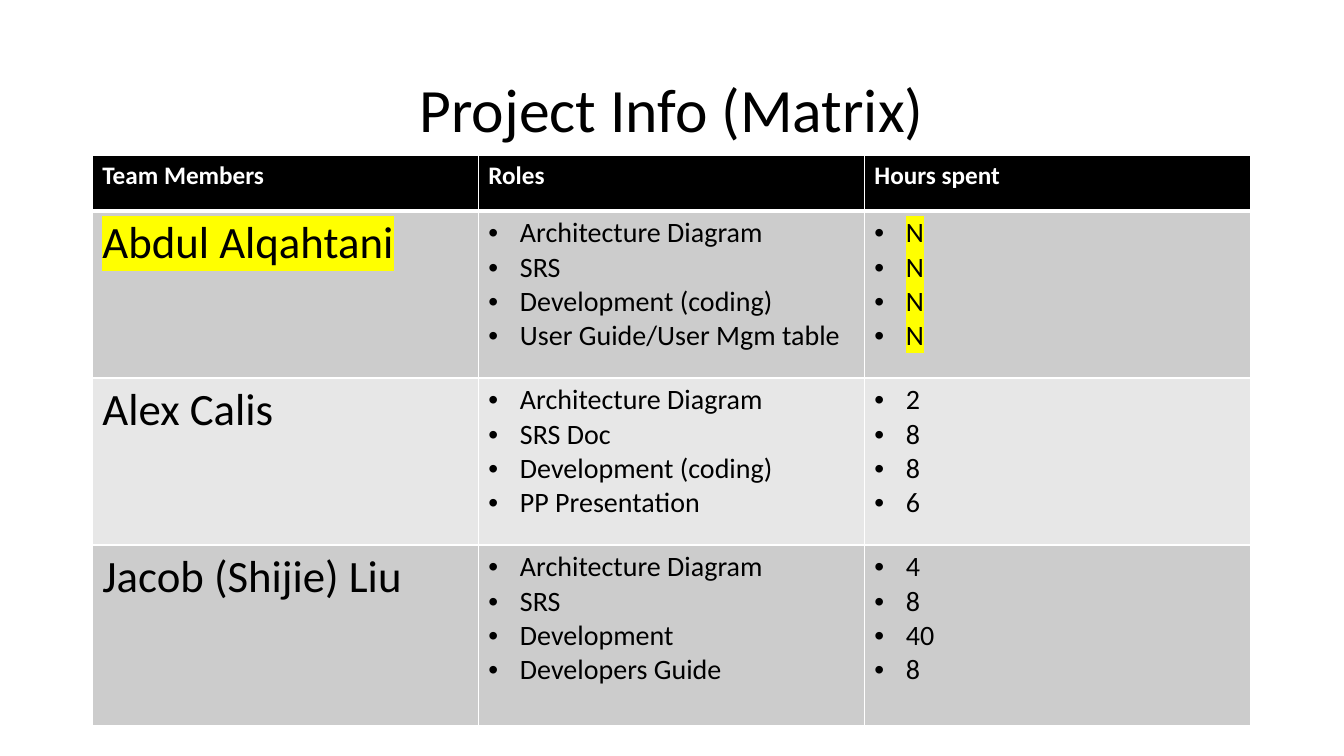
import dataclasses
import typing

import lxml.etree
import pptx
import pptx.dml.color
import pptx.enum.text
import pptx.oxml.ns
import pptx.util

PIXEL = 914400 / 100.8
FONT = "Calibri"
COLOURS = {
    "black": "000000",
    "white": "FFFFFF",
    "dark band": "CCCCCC",
    "light band": "E7E7E7",
    "highlight": "FFFF00",
}
COLUMN_WIDTH = 386
ROW_HEIGHTS = [56, 167, 167, 181]
BULLET_INDENT = 31.5
HEADINGS = ["Team Members", "Roles", "Hours spent"]


@dataclasses.dataclass
class Member:
    name: str
    roles: list[str]
    hours: list[str]
    pending: bool = False


MEMBERS = [
    Member("Abdul Alqahtani",
           ["Architecture Diagram", "SRS", "Development (coding)", "User Guide/User Mgm table"],
           ["N"] * 4, pending=True),
    Member("Alex Calis",
           ["Architecture Diagram", "SRS Doc", "Development (coding)", "PP Presentation"],
           ["2", "8", "8", "6"]),
    Member("Jacob (Shijie) Liu",
           ["Architecture Diagram", "SRS", "Development", "Developers Guide"],
           ["4", "8", "40", "8"]),
]


def px(pixels: float) -> pptx.util.Emu:
    return pptx.util.Emu(round(pixels * PIXEL))


def rgb(colour: str) -> pptx.dml.color.RGBColor:
    return pptx.dml.color.RGBColor.from_string(COLOURS[colour])


def add_xml(parent: typing.Any, tag: str, **attributes: str) -> typing.Any:
    return lxml.etree.SubElement(parent, pptx.oxml.ns.qn(tag), attributes)


def set_attributes(target: typing.Any, values: dict[str, typing.Any]) -> None:
    for name, value in values.items():
        setattr(target, name, value)


def write_span(para: typing.Any, text: str, size: int, colour: str = "black",
               bold: bool = False, highlighted: bool = False) -> None:
    span = para.add_run()
    span.text = text
    set_attributes(span.font, {"size": pptx.util.Pt(size), "bold": bold, "name": FONT})
    span.font.color.rgb = rgb(colour)
    if highlighted:
        properties = span.font._element
        highlight = add_xml(properties, "a:highlight")
        add_xml(highlight, "a:srgbClr", val=COLOURS["highlight"])
        properties.find(pptx.oxml.ns.qn("a:solidFill")).addnext(highlight)


def write_bullets(cell: typing.Any, items: list[str], highlighted: bool = False) -> None:
    for index, item in enumerate(items):
        frame = cell.text_frame
        para = frame.add_paragraph() if index else frame.paragraphs[0]
        properties = para._p.get_or_add_pPr()
        indent = px(BULLET_INDENT)
        properties.set("marL", str(indent))
        properties.set("indent", str(-indent))
        add_xml(properties, "a:buFont", typeface="Arial")
        add_xml(properties, "a:buChar", char="•")
        write_span(para, item, 20, highlighted=highlighted)


def style_cell(cell: typing.Any, fill: str, top: int = 1, bottom: int = 1) -> None:
    properties = cell._tc.get_or_add_tcPr()
    for side, width in {"L": 1, "R": 1, "T": top, "B": bottom}.items():
        line = add_xml(properties, f"a:ln{side}", w=str(pptx.util.Pt(width)))
        line_fill = add_xml(line, "a:solidFill")
        add_xml(line_fill, "a:srgbClr", val=COLOURS["white"])
    cell.fill.solid()
    cell.fill.fore_color.rgb = rgb(fill)


deck = pptx.Presentation()
set_attributes(deck, {"slide_width": px(1344), "slide_height": px(756)})
page = deck.slides.add_slide(deck.slide_layouts[5])

# Title
title = page.shapes.title
set_attributes(title, {"left": px(92.4), "top": px(40), "width": px(1159), "height": px(146)})
set_attributes(title.text_frame, {
    "word_wrap": True,
    "vertical_anchor": pptx.enum.text.MSO_ANCHOR.MIDDLE,
})
title_para = title.text_frame.paragraphs[0]
set_attributes(title_para, {"alignment": pptx.enum.text.PP_ALIGN.CENTER, "line_spacing": 0.9})
write_span(title_para, "Project Info (Matrix)", 44)

# Team matrix
matrix = page.shapes.add_table(
    len(MEMBERS) + 1, len(HEADINGS), px(92.4), px(155),
    px(COLUMN_WIDTH * len(HEADINGS)), px(sum(ROW_HEIGHTS))).table
for column in matrix.columns:
    column.width = px(COLUMN_WIDTH)
for row, height in zip(matrix.rows, ROW_HEIGHTS):
    row.height = px(height)

# Heading row
for column_index, heading in enumerate(HEADINGS):
    heading_cell = matrix.cell(0, column_index)
    style_cell(heading_cell, "black", bottom=3)
    write_span(heading_cell.text_frame.paragraphs[0], heading, 18, "white", bold=True)

# Member rows
for row_index, member in enumerate(MEMBERS, start=1):
    name_cell, roles_cell, hours_cell = matrix.rows[row_index].cells
    for member_cell in (name_cell, roles_cell, hours_cell):
        style_cell(member_cell, "dark band" if row_index % 2 else "light band",
                   top=3 if row_index == 1 else 1)
    write_span(name_cell.text_frame.paragraphs[0], member.name, 32, highlighted=member.pending)
    write_bullets(roles_cell, member.roles)
    write_bullets(hours_cell, member.hours, highlighted=member.pending)

deck.save("out.pptx")
